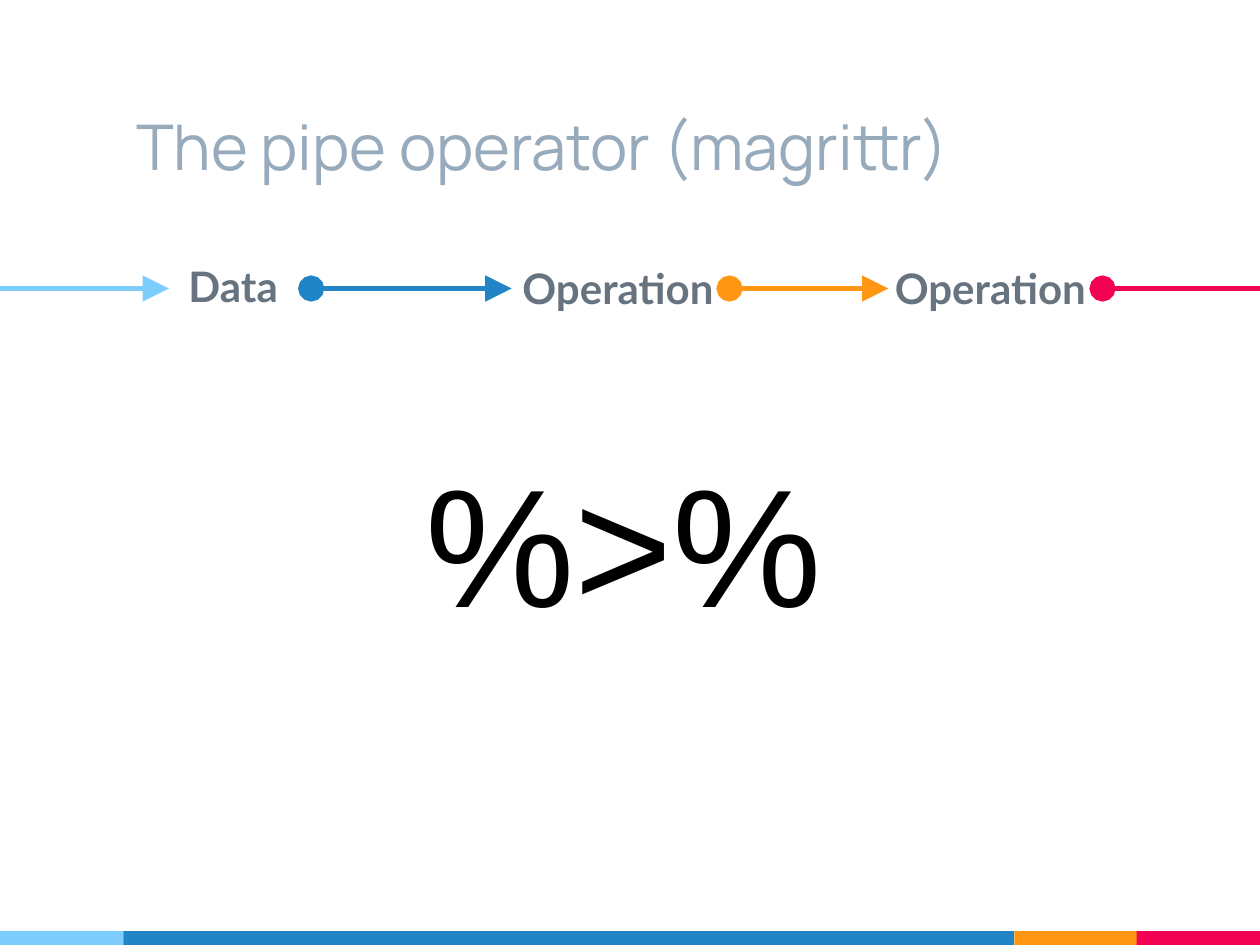
from pptx import Presentation
from pptx.dml.color import RGBColor
from pptx.enum.shapes import MSO_CONNECTOR, MSO_SHAPE
from pptx.enum.text import MSO_ANCHOR, MSO_AUTO_SIZE, PP_ALIGN
from pptx.oxml.ns import qn
from pptx.util import Inches, Pt
from lxml import etree

COLORS = {
    "sky": "7ECEFD", "blue": "2185C5", "orange": "FF9715", "red": "F20253",
    "title": "97ABBC", "label": "677480", "black": "000000",
}


def rgb(name):
    return RGBColor.from_string(COLORS[name])


def format_text(tf, text, font, size, color, align, anchor, bold=False):
    tf.text = text
    tf.vertical_anchor = anchor
    p = tf.paragraphs[0]
    p.alignment = align
    f = p.runs[0].font
    f.name, f.size, f.bold = font, Pt(size), bold
    f.color.rgb = rgb(color)


prs = Presentation()
prs.slide_width, prs.slide_height = Inches(10), Inches(7.5)
s = prs.slides.add_slide(prs.slide_layouts[5])

# Footer band
for color, left, width in [("sky", 0, 0.98), ("blue", 0.98, 7.07),
                           ("orange", 8.05, 0.98), ("red", 9.02, 0.98)]:
    sp = s.shapes.add_shape(MSO_SHAPE.RECTANGLE, Inches(left), Inches(7.39),
                            Inches(width), Inches(0.11))
    sp.shadow.inherit = False
    sp.fill.solid()
    sp.fill.fore_color.rgb = rgb(color)
    sp.line.fill.background()

# Title
title = s.shapes.title
title.left, title.top = Inches(0.98), Inches(0.3)
title.width, title.height = Inches(7.07), Inches(1.25)
tf = title.text_frame
tf.margin_left = tf.margin_right = tf.margin_top = tf.margin_bottom = Inches(0.1)
tf.auto_size = MSO_AUTO_SIZE.NONE
format_text(tf, "The pipe operator (magrittr)", "Manrope", 36, "title",
            PP_ALIGN.LEFT, MSO_ANCHOR.BOTTOM)

# Pipe arrows: a dot at the start, a triangle at the end
pipe_y = Inches(2.29)
for color, start, end in [("sky", -0.25, 1.34), ("blue", 2.47, 4.06),
                          ("orange", 5.79, 7.05), ("red", 8.75, 10.34)]:
    pipe = s.shapes.add_connector(MSO_CONNECTOR.STRAIGHT, Inches(start), pipe_y,
                                  Inches(end), pipe_y)
    pipe.line.color.rgb = rgb(color)
    pipe.line.width = Pt(3)
    ln = pipe.line._get_or_add_ln()
    for tag, kind in [("a:headEnd", "oval"), ("a:tailEnd", "triangle")]:
        etree.SubElement(ln, qn(tag), type=kind, w="lg", len="lg")
    etree.SubElement(pipe._element.spPr, qn("a:effectLst"))

# Steps between the arrows
for text, left, top, width in [("Data", 1.14, 1.92, 1.42),
                               ("Operation", 3.98, 1.94, 1.85),
                               ("Operation", 6.94, 1.94, 1.84)]:
    step = s.shapes.add_textbox(Inches(left), Inches(top), Inches(width), Inches(0.69))
    tf = step.text_frame
    tf.word_wrap = True
    tf.margin_left = tf.margin_right = tf.margin_top = tf.margin_bottom = Inches(0.1)
    format_text(tf, text, "Lato", 24, "label", PP_ALIGN.CENTER, MSO_ANCHOR.MIDDLE, bold=True)

# Operator symbol
symbol = s.shapes.add_textbox(Inches(3.26), Inches(3.44), Inches(3.38), Inches(1.72))
tf = symbol.text_frame
tf.word_wrap = False
tf.auto_size = MSO_AUTO_SIZE.SHAPE_TO_FIT_TEXT
format_text(tf, "%>%", "Arial", 96, "black", PP_ALIGN.CENTER, MSO_ANCHOR.TOP)

prs.save("out.pptx")
